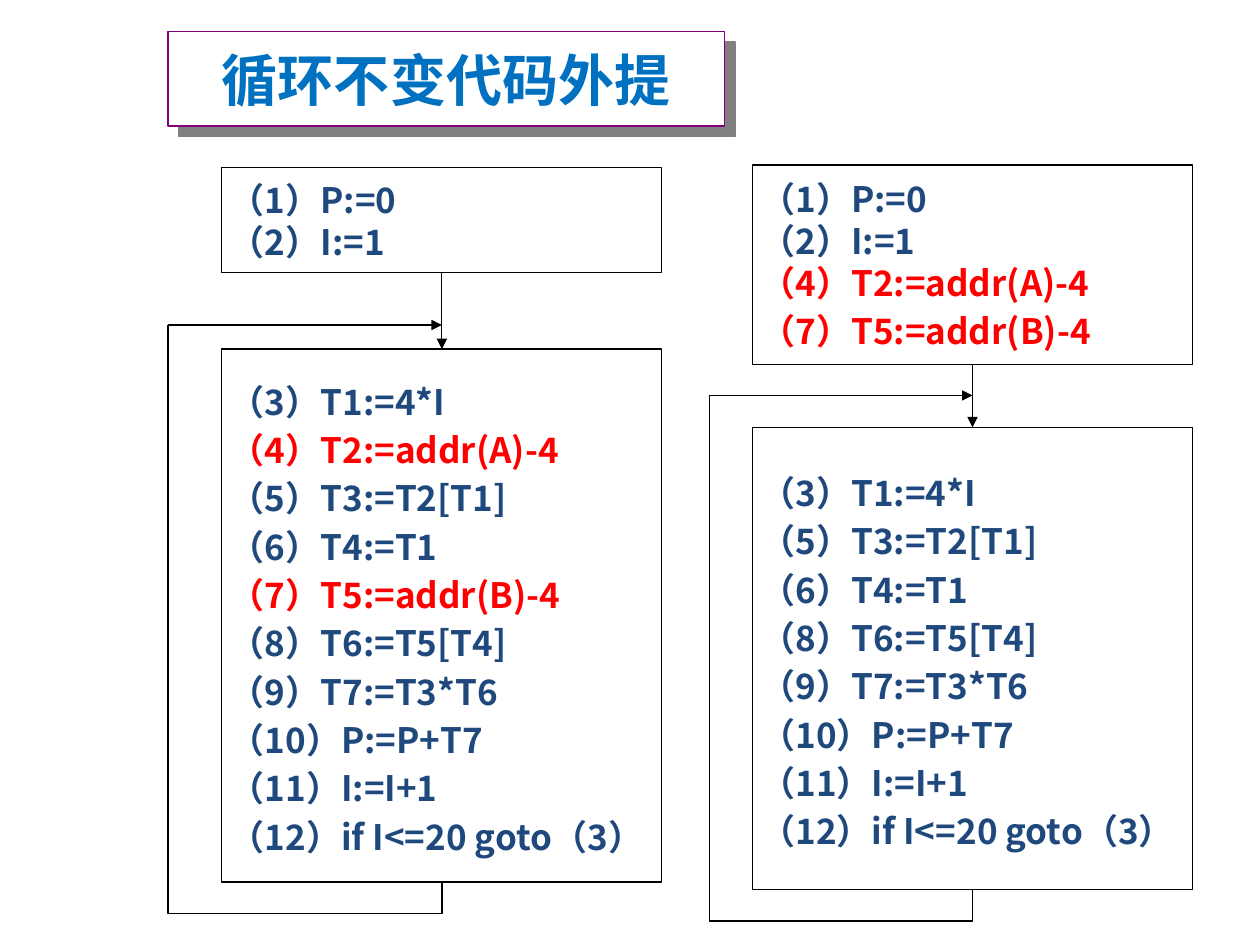
import dataclasses
import typing

import lxml.etree
import pptx
import pptx.dml.color
import pptx.enum.shapes
import pptx.enum.text
import pptx.oxml.ns
import pptx.util

Pt = pptx.util.Pt
qn = pptx.oxml.ns.qn
CJK_FONT = "Noto Sans CJK SC"
PAREN_FONT = "Times New Roman"
NAVY, RED, BLACK, WHITE = "1F497D", "FF0000", "000000", "FFFFFF"
LINE_WIDTH = 0.75
LOOP_DROP = 18


@dataclasses.dataclass(frozen=True)
class Statement:
    number: int
    code: str
    color: str = NAVY
    spacing: float = 1.15
    paren_font: str = PAREN_FONT


@dataclasses.dataclass(frozen=True)
class Block:
    top: float
    height: float
    statements: list[Statement]


@dataclasses.dataclass(frozen=True)
class Flow:
    """An entry block followed by a loop body that jumps back to join_y."""
    left: float
    width: float
    loop_x: float
    join_y: float
    entry: Block
    body: Block
    fill: typing.Optional[str]


INIT = [Statement(1, "P:=0", spacing=1, paren_font=CJK_FONT),
        Statement(2, "I:=1", spacing=1, paren_font=CJK_FONT)]
ADDR_A = Statement(4, "T2:=addr(A)-4", RED)
ADDR_B = Statement(7, "T5:=addr(B)-4", RED)
LOOP = [
    Statement(3, "T1:=4*I"),
    ADDR_A,
    Statement(5, "T3:=T2[T1]"),
    Statement(6, "T4:=T1"),
    ADDR_B,
    Statement(8, "T6:=T5[T4]"),
    Statement(9, "T7:=T3*T6"),
    Statement(10, "P:=P+T7"),
    Statement(11, "I:=I+1"),
    Statement(12, "if I<=20 goto（3）", paren_font=CJK_FONT),
]
HOISTED = [dataclasses.replace(ADDR_A, spacing=1), ADDR_B]
REDUCED_LOOP = [s for s in LOOP if s not in (ADDR_A, ADDR_B)]

FLOWS = [
    Flow(126.75, 251.5, 96, 185.75, Block(95.75, 60, INIT),
         Block(199.5, 304.5, LOOP), None),
    Flow(430, 251.5, 405.5, 226, Block(94.25, 114, INIT + HOISTED),
         Block(244.25, 264, REDUCED_LOOP), WHITE),
]


def rgb(color: str) -> pptx.dml.color.RGBColor:
    return pptx.dml.color.RGBColor.from_string(color)


def add_text(paragraph, text: str, *, size: float = 20, font: str = CJK_FONT,
             color: str = NAVY, bold: bool = True) -> None:
    run = paragraph.add_run()
    run.text = text
    run.font.size = Pt(size)
    run.font.bold = bold
    run.font.name = font
    run.font.color.rgb = rgb(color)
    east_asian = lxml.etree.Element(qn("a:ea"), typeface=CJK_FONT)
    run.font._element.find(qn("a:latin")).addnext(east_asian)


def style_line(line, color: str = BLACK) -> None:
    line.color.rgb = rgb(color)
    line.width = Pt(LINE_WIDTH)


def style_fill(fill, color: typing.Optional[str]) -> None:
    if color is None:
        fill.background()
    else:
        fill.solid()
        fill.fore_color.rgb = rgb(color)


def add_title(slide, text: str) -> None:
    title = slide.shapes.title
    title.left, title.top, title.width, title.height = map(Pt, (96, 18, 318, 54))
    style_fill(title.fill, WHITE)
    style_line(title.line, "800080")
    effects = lxml.etree.SubElement(title._element.spPr, qn("a:effectLst"))
    shadow = lxml.etree.SubElement(effects, qn("a:outerShdw"), blurRad="0",
                                   dist=str(Pt(8.5)), dir=str(45 * 60000),
                                   algn="ctr", rotWithShape="0")
    lxml.etree.SubElement(shadow, qn("a:srgbClr"), val="808080")
    title.text_frame.vertical_anchor = pptx.enum.text.MSO_ANCHOR.MIDDLE
    heading = title.text_frame.paragraphs[0]
    heading.alignment = pptx.enum.text.PP_ALIGN.CENTER
    add_text(heading, text, size=32, font="Calibri", color="0070C0")


def write_statement(paragraph, statement: Statement) -> None:
    paragraph.alignment = pptx.enum.text.PP_ALIGN.LEFT
    paragraph.line_spacing = statement.spacing
    if statement.paren_font == CJK_FONT:
        parts = [(f"（{statement.number}）{statement.code}", CJK_FONT)]
    else:
        parts = [("（", statement.paren_font), (str(statement.number), CJK_FONT),
                 ("）", statement.paren_font), (statement.code, CJK_FONT)]
    for text, font in parts:
        add_text(paragraph, text, font=font, color=statement.color)


def add_block(slide, flow: Flow, block: Block):
    box = slide.shapes.add_shape(
        pptx.enum.shapes.MSO_SHAPE.RECTANGLE, Pt(flow.left), Pt(block.top),
        Pt(flow.width), Pt(block.height))
    box.shadow.inherit = False
    style_fill(box.fill, flow.fill)
    style_line(box.line)
    frame = box.text_frame
    frame.word_wrap = False
    frame.vertical_anchor = pptx.enum.text.MSO_ANCHOR.MIDDLE
    frame.margin_left = frame.margin_right = Pt(4.5)
    for index, statement in enumerate(block.statements):
        paragraph = frame.add_paragraph() if index else frame.paragraphs[0]
        write_statement(paragraph, statement)
    return box


def add_line(slide, start: tuple[float, float], end: tuple[float, float], *,
             elbow: bool = False, arrow: bool = True):
    kinds = pptx.enum.shapes.MSO_CONNECTOR
    line = slide.shapes.add_connector(
        kinds.ELBOW if elbow else kinds.STRAIGHT, *map(Pt, start + end))
    style_line(line.line)
    if arrow:
        lxml.etree.SubElement(line.line._get_or_add_ln(), qn("a:tailEnd"),
                              type="triangle")
    lxml.etree.SubElement(line._element.spPr, qn("a:effectLst"))
    return line


def add_back_edge(slide, start: tuple[float, float], end: tuple[float, float]) -> None:
    """Draw an elbow that leaves downward, runs left and climbs to its end."""
    (x1, y1), (x2, y2) = start, end
    mid_x, mid_y = (x1 + x2) / 2, (y1 + y2) / 2
    half_run, half_rise = (x1 - x2) / 2, (y1 - y2) / 2
    # Laid on its side, then turned by 270 degrees about its middle.
    edge = add_line(slide, (mid_x - half_rise, mid_y + half_run),
                    (mid_x + half_rise, mid_y - half_run), elbow=True, arrow=False)
    properties = edge._element.spPr
    properties.find(qn("a:xfrm")).set("rot", str(270 * 60000))
    adjustments = properties.find(qn("a:prstGeom")).get_or_add_avLst()
    bend = round(-LOOP_DROP / (y1 - y2) * 100000)
    lxml.etree.SubElement(adjustments, qn("a:gd"), name="adj1", fmla=f"val {bend}")


def add_flow(slide, flow: Flow) -> None:
    entry = add_block(slide, flow, flow.entry)
    body = add_block(slide, flow, flow.body)
    center = flow.left + flow.width / 2
    descent = add_line(slide, (center, flow.entry.top + flow.entry.height),
                       (center, flow.body.top))
    descent.begin_connect(entry, 2)
    descent.end_connect(body, 0)
    add_line(slide, (flow.loop_x, flow.join_y), (center, flow.join_y))
    add_back_edge(slide, (center, flow.body.top + flow.body.height),
                  (flow.loop_x, flow.join_y))


def main() -> None:
    deck = pptx.Presentation()
    deck.slide_width, deck.slide_height = Pt(720), Pt(540)
    slide = deck.slides.add_slide(deck.slide_layouts.get_by_name("Title Only"))
    add_title(slide, "循环不变代码外提")
    for flow in FLOWS:
        add_flow(slide, flow)
    deck.save("out.pptx")


if __name__ == "__main__":
    main()
